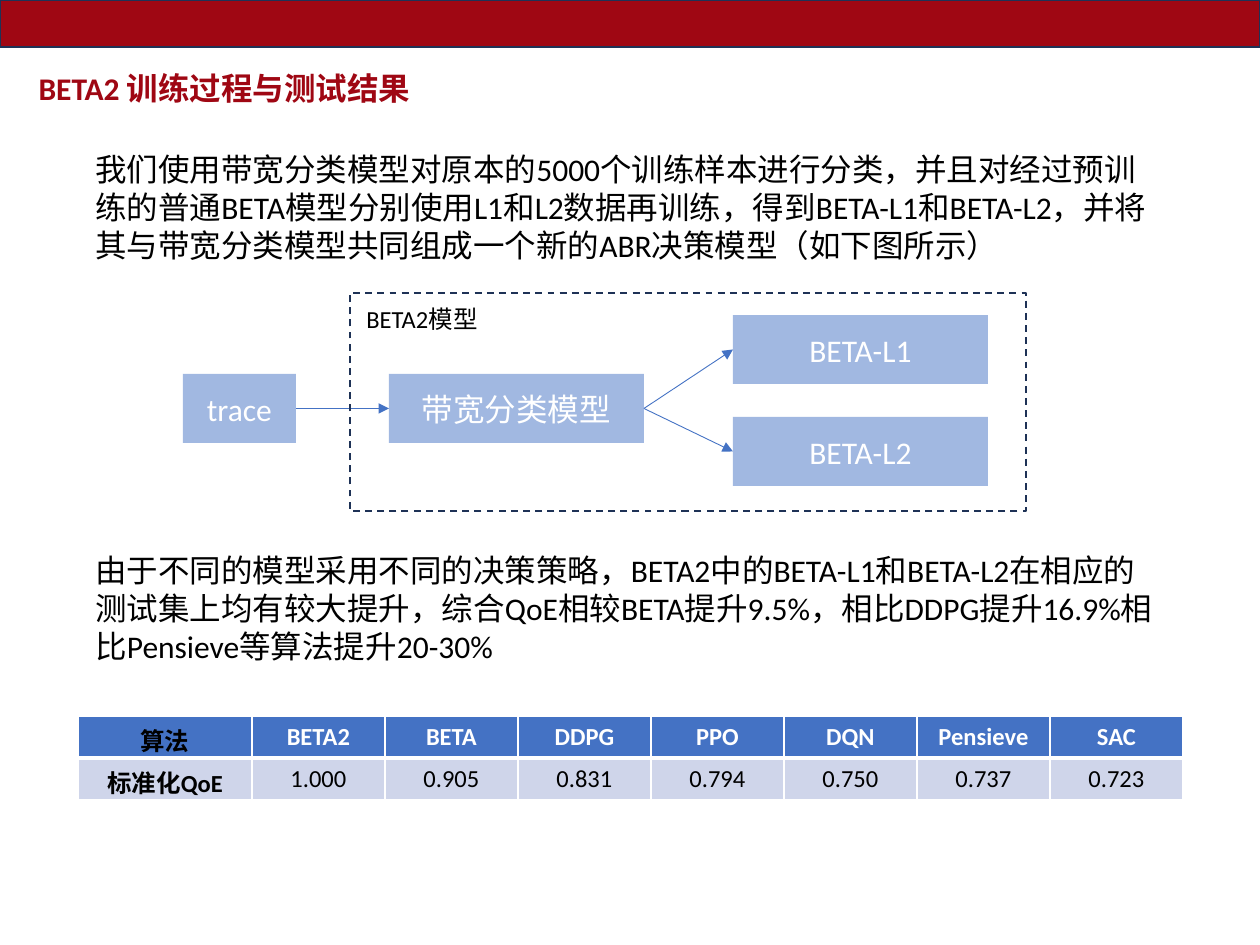
import pptx
import pptx.util
import pptx.dml.color
import pptx.enum.dml
import pptx.enum.shapes
import pptx.enum.text
import pptx.oxml
import pptx.oxml.ns

PX = 914400 // 126
RED, BLUE, NAVY = "9F0713", "4472C4", "1E3256"
WHITE, BLACK, PALE = "FFFFFF", "000000", "CFD5EA"
RECT = pptx.enum.shapes.MSO_SHAPE.RECTANGLE
ALIGN = pptx.enum.text.PP_ALIGN
ANCHOR = pptx.enum.text.MSO_ANCHOR
NS = pptx.oxml.ns.nsdecls("a")


def rgb(code):
    return pptx.dml.color.RGBColor.from_string(code)


def write(frame, text, size, color, bold=False, align=ALIGN.LEFT):
    frame.text = text
    frame.word_wrap = True
    para = frame.paragraphs[0]
    para.alignment = align
    font = para.runs[0].font
    font.name = "Calibri"
    font.size = pptx.util.Pt(size)
    font.bold = bold
    font.color.rgb = rgb(color)


deck = pptx.Presentation()
deck.slide_width = 1260 * PX
deck.slide_height = 945 * PX
slide = deck.slides.add_slide(deck.slide_layouts[5])
shapes = slide.shapes

# Title
title = shapes.title
title.left, title.top, title.width, title.height = [v * PX for v in (26, 63, 425, 50)]
write(title.text_frame, "BETA2 训练过程与测试结果", 18, RED, True)
title.text_frame.vertical_anchor = ANCHOR.TOP

# Top band
band = shapes.add_shape(RECT, 0, 0, 1260 * PX, 47 * PX)
band.shadow.inherit = False
band.fill.solid()
band.fill.fore_color.rgb = rgb(RED)
band.line.color.rgb = rgb(NAVY)
band.line.width = pptx.util.Pt(1)

# Model boxes, half transparent
nodes = {}
for name, x, y, w in [
    ("trace", 183, 374, 113),
    ("带宽分类模型", 389, 374, 255),
    ("BETA-L1", 733, 315, 255),
    ("BETA-L2", 733, 417, 255),
]:
    node = shapes.add_shape(RECT, x * PX, y * PX, w * PX, 69 * PX)
    node.shadow.inherit = False
    node.fill.solid()
    node.fill.fore_color.rgb = rgb(BLUE)
    tint = node.fill._xPr.find(".//" + pptx.oxml.ns.qn("a:srgbClr"))
    tint.append(pptx.oxml.parse_xml(f'<a:alpha {NS} val="50000"/>'))
    node.line.fill.background()
    write(node.text_frame, name, 18, WHITE, align=ALIGN.CENTER)
    node.text_frame.vertical_anchor = ANCHOR.MIDDLE
    nodes[name] = node

# Arrows from right side to left side
for start, end in [
    ("trace", "带宽分类模型"),
    ("带宽分类模型", "BETA-L1"),
    ("带宽分类模型", "BETA-L2"),
]:
    arrow = shapes.add_connector(pptx.enum.shapes.MSO_CONNECTOR.STRAIGHT, 0, 0, 0, 0)
    arrow.begin_connect(nodes[start], 3)
    arrow.end_connect(nodes[end], 1)
    arrow.line.color.rgb = rgb(BLUE)
    arrow.line.width = pptx.util.Pt(0.5)
    arrow.line._get_or_add_ln().append(
        pptx.oxml.parse_xml(f'<a:tailEnd {NS} type="triangle"/>'))
    arrow._element.spPr.append(pptx.oxml.parse_xml(f"<a:effectLst {NS}/>"))

# Dashed frame of the whole model
frame = shapes.add_shape(RECT, 350 * PX, 293 * PX, 676 * PX, 218 * PX)
frame.shadow.inherit = False
frame.fill.background()
frame.line.color.rgb = rgb(NAVY)
frame.line.width = pptx.util.Pt(1)
frame.line.dash_style = pptx.enum.dml.MSO_LINE.DASH

# Body text and frame label
for text, x, y, w, h, size in [
    ("我们使用带宽分类模型对原本的5000个训练样本进行分类，并且对经过预训练的普通BETA模型"
     "分别使用L1和L2数据再训练，得到BETA-L1和BETA-L2，并将其与带宽分类模型共同组成一个"
     "新的ABR决策模型（如下图所示）", 83, 144, 1092, 127, 18),
    ("BETA2模型", 354, 298, 169, 42, 14),
    ("由于不同的模型采用不同的决策策略，BETA2中的BETA-L1和BETA-L2在相应的测试集上均有"
     "较大提升，综合QoE相较BETA提升9.5%，相比DDPG提升16.9%相比Pensieve等算法提升20-30%",
     83, 545, 1092, 127, 18),
]:
    box = shapes.add_textbox(x * PX, y * PX, w * PX, h * PX)
    write(box.text_frame, text, size, BLACK)

# Result table
rows = [
    ["算法", "BETA2", "BETA", "DDPG", "PPO", "DQN", "Pensieve", "SAC"],
    ["标准化QoE", "1.000", "0.905", "0.831", "0.794", "0.750", "0.737", "0.723"],
]
table = shapes.add_table(2, 8, 78 * PX, 716 * PX, 1105 * PX, 84 * PX).table
for c, col in enumerate(table.columns):
    col.width = (133 if c else 174) * PX
for r, row in enumerate(rows):
    table.rows[r].height = 42 * PX
    for c, text in enumerate(row):
        cell = table.cell(r, c)
        head = r == 0
        color = WHITE if head and c else BLACK
        write(cell.text_frame, text, 14, color, head or c == 0, ALIGN.CENTER)
        # White rules, thick between header and values
        props = cell._tc.get_or_add_tcPr()
        for side in "LRTB":
            thick = side == ("B" if head else "T")
            width = pptx.util.Pt(3 if thick else 1)
            props.append(pptx.oxml.parse_xml(
                f'<a:ln{side} {NS} w="{width}"><a:solidFill>'
                f'<a:srgbClr val="{WHITE}"/></a:solidFill></a:ln{side}>'))
        cell.fill.solid()
        cell.fill.fore_color.rgb = rgb(BLUE if head else PALE)

deck.save("out.pptx")
